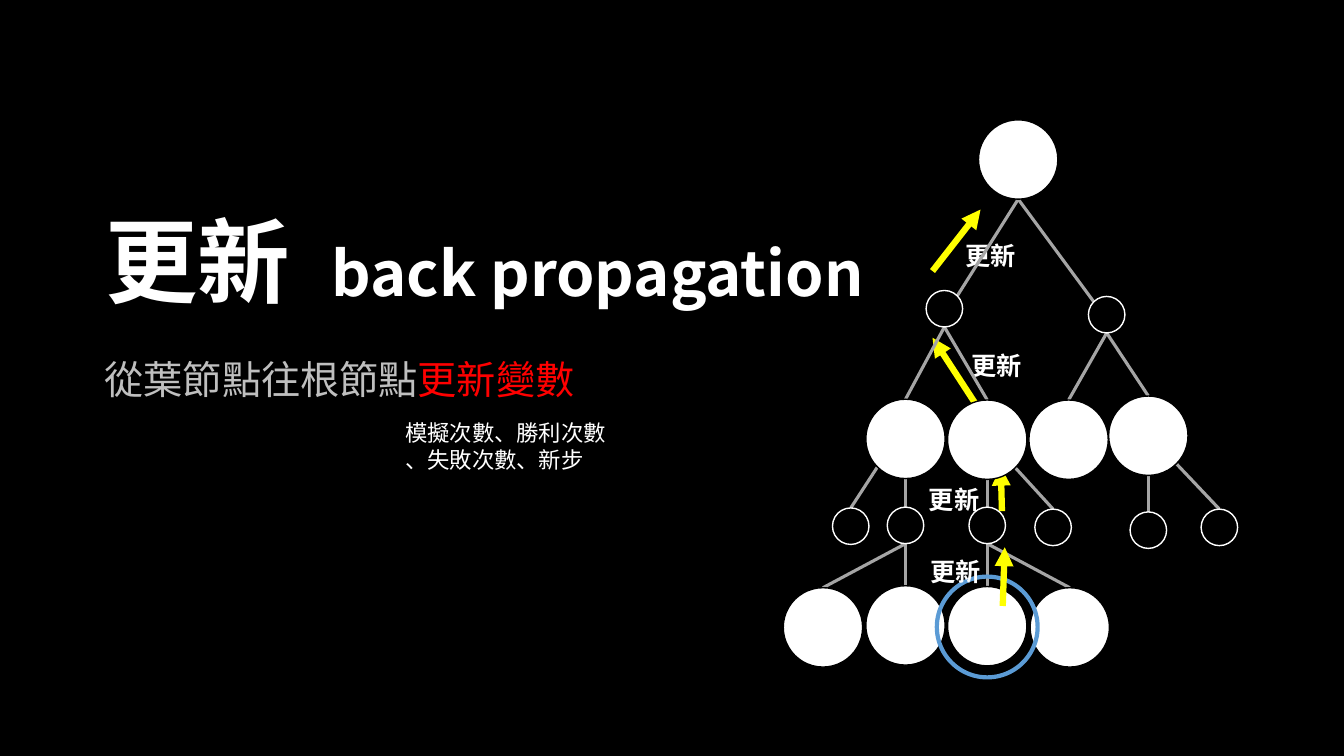
from dataclasses import dataclass
from math import cos, radians, sin
from typing import NamedTuple

from lxml.etree import SubElement
from pptx import Presentation
from pptx.dml.color import RGBColor
from pptx.enum.shapes import MSO_CONNECTOR, MSO_SHAPE
from pptx.enum.text import MSO_ANCHOR
from pptx.oxml.ns import qn
from pptx.util import Cm, Pt

FONT = "Noto Sans CJK SC"
BLACK, WHITE, GREY = "000000", "FFFFFF", "BFBFBF"
RED, YELLOW, BLUE, EDGE_GREY = "FF0000", "FFFF00", "5B9BD5", "A5A5A5"

# Places on a node's rim, in degrees clockwise from the right
LOWER_RIGHT, BOTTOM, LOWER_LEFT, UPPER_LEFT, TOP, UPPER_RIGHT = 45, 90, 135, 225, 270, 315


class Point(NamedTuple):
    x: float
    y: float


class Box(NamedTuple):
    left: float
    top: float
    width: float
    height: float


class Piece(NamedTuple):
    text: str
    color: str = ""
    size: float = 0


@dataclass(frozen=True)
class Node:
    center_x: float
    top: float
    size: float
    fill: str
    outline: str

    def rim(self, angle: float) -> Point:
        radius = self.size / 2
        return Point(self.center_x + radius * cos(radians(angle)),
                     self.top + radius + radius * sin(radians(angle)))


class Edge(NamedTuple):
    parent: Node
    child: Node
    leave: float = BOTTOM
    enter: float = TOP


class Arrow(NamedTuple):
    start: Point
    tip: Point


def large(center_x: float, top: float) -> Node:
    return Node(center_x, top, 2, WHITE, BLACK)


def small(center_x: float, top: float) -> Node:
    return Node(center_x, top, 0.92, BLACK, WHITE)


def rgb(color: str) -> RGBColor:
    return RGBColor.from_string(color)


def add_text(slide, box: Box, lines: list[list[Piece]], size: float, color: str = WHITE,
             bold: bool = False, wrap: bool = True, anchor=MSO_ANCHOR.TOP,
             spacing: float = 1, tab: float = 0) -> None:
    frame = slide.shapes.add_textbox(*map(Cm, box)).text_frame
    frame.word_wrap = wrap
    frame.vertical_anchor = anchor
    for index, pieces in enumerate(lines):
        paragraph = frame.add_paragraph() if index else frame.paragraphs[0]
        paragraph.line_spacing = spacing
        properties = paragraph._p.get_or_add_pPr()
        if tab:
            stops = SubElement(properties, qn("a:tabLst"))
            SubElement(stops, qn("a:tab"), pos=str(Cm(tab)), algn="l")
        font = paragraph.font
        font.name, font.size, font.bold = FONT, Pt(size), bold
        font.color.rgb = rgb(color)
        SubElement(properties.find(qn("a:defRPr")), qn("a:ea"), typeface=FONT)
        for piece in pieces:
            run = paragraph.add_run()
            run.text = piece.text
            if piece.color:
                run.font.color.rgb = rgb(piece.color)
            if piece.size:
                run.font.size = Pt(piece.size)


def add_line(slide, start: Point, end: Point, color: str, width: float,
             arrowhead: bool = False) -> None:
    connector = slide.shapes.add_connector(
        MSO_CONNECTOR.STRAIGHT, *map(Cm, (*start, *end)))
    connector.line.color.rgb = rgb(color)
    connector.line.width = Pt(width)
    if arrowhead:
        SubElement(connector.line._get_or_add_ln(), qn("a:tailEnd"), type="triangle")
    SubElement(connector._element.spPr, qn("a:effectLst"))


def add_circle(slide, center_x: float, top: float, size: float,
               fill: str, outline: str, width: float) -> None:
    """An empty fill leaves the circle hollow."""
    circle = slide.shapes.add_shape(
        MSO_SHAPE.OVAL, *map(Cm, (center_x - size / 2, top, size, size)))
    circle.shadow.inherit = False
    if fill:
        circle.fill.solid()
        circle.fill.fore_color.rgb = rgb(fill)
    else:
        circle.fill.background()
    circle.line.color.rgb = rgb(outline)
    circle.line.width = Pt(width)


def add_arrow(slide, arrow: Arrow) -> None:
    add_line(slide, arrow.start, arrow.tip, YELLOW, 4.5, arrowhead=True)


def add_update_label(slide, box: Box) -> None:
    add_text(slide, box, [[Piece("更新")]], 18, bold=True)


root = large(25.66, 3.02)
replies = [small(23.8, 7.32), small(27.89, 7.47)]
moves = [large(22.82, 10.06), large(24.88, 10.08), large(26.93, 10.08), large(28.94, 9.98)]
next_replies = [small(21.44, 12.8), small(22.82, 12.78), small(24.88, 12.78),
                small(26.54, 12.83), small(28.94, 12.9), small(30.73, 12.83)]
leaves = [large(20.74, 14.81), large(22.82, 14.76), large(24.88, 14.78), large(26.96, 14.81)]
updated_leaf = leaves[2]

edges = [
    Edge(root, replies[0], enter=UPPER_RIGHT),
    Edge(root, replies[1], enter=UPPER_LEFT),
    *(Edge(replies[i // 2], move) for i, move in enumerate(moves)),
    Edge(moves[0], next_replies[0], LOWER_LEFT),
    Edge(moves[0], next_replies[1]),
    Edge(moves[1], next_replies[2]),
    Edge(moves[1], next_replies[3], LOWER_RIGHT),
    Edge(moves[3], next_replies[4]),
    Edge(moves[3], next_replies[5], LOWER_RIGHT),
    *(Edge(next_replies[1 + i // 2], leaf) for i, leaf in enumerate(leaves)),
]

arrows_behind = [
    Arrow(Point(23.5, 6.83), Point(24.71, 5.28)),
    Arrow(Point(24.64, 10.26), Point(23.5, 8.51)),
    Arrow(Point(25.25, 12.88), Point(25.22, 11.76)),
]
leaf_arrow = Arrow(Point(25.27, 15.27), Point(25.32, 13.79))
labels_behind = [Box(24.23, 8.71, 2.26, 1.02), Box(23.16, 12.07, 1.9, 1.02),
                 Box(24.08, 5.94, 2.26, 1.02)]
leaf_label = Box(23.19, 13.89, 1.85, 1.04)


def main() -> None:
    deck = Presentation()
    deck.slide_width, deck.slide_height = Cm(33.87), Cm(19.05)
    slide = deck.slides.add_slide(deck.slide_layouts[6])
    slide.background.fill.solid()
    slide.background.fill.fore_color.rgb = rgb(BLACK)

    add_text(slide, Box(2.41, 5.26, 21.44, 2.9),
             [[Piece("更新\t", size=66), Piece("back propagation", size=44)]],
             44, bold=True, anchor=MSO_ANCHOR.MIDDLE, spacing=0.9, tab=5.7)
    add_text(slide, Box(2.39, 8.84, 12.47, 1.45),
             [[Piece("從葉節點往根節點"), Piece("更新變數", RED)]], 28, GREY, wrap=False)

    for arrow in arrows_behind:
        add_arrow(slide, arrow)
    for box in labels_behind:
        add_update_label(slide, box)
    for edge in edges:
        add_line(slide, edge.parent.rim(edge.leave), edge.child.rim(edge.enter),
                 EDGE_GREY, 2.25)
    for node in [root, *replies, *moves, *next_replies, *leaves]:
        add_circle(slide, node.center_x, node.top, node.size, node.fill, node.outline, 1)
    add_circle(slide, updated_leaf.center_x, 14.53, 2.54, "", BLUE, 3)
    add_arrow(slide, leaf_arrow)
    add_update_label(slide, leaf_label)

    add_text(slide, Box(9.96, 10.44, 5.59, 1.63),
             [[Piece("模擬次數、勝利次數")], [Piece("、失敗次數、新步")]], 16)
    deck.save("out.pptx")


if __name__ == "__main__":
    main()
